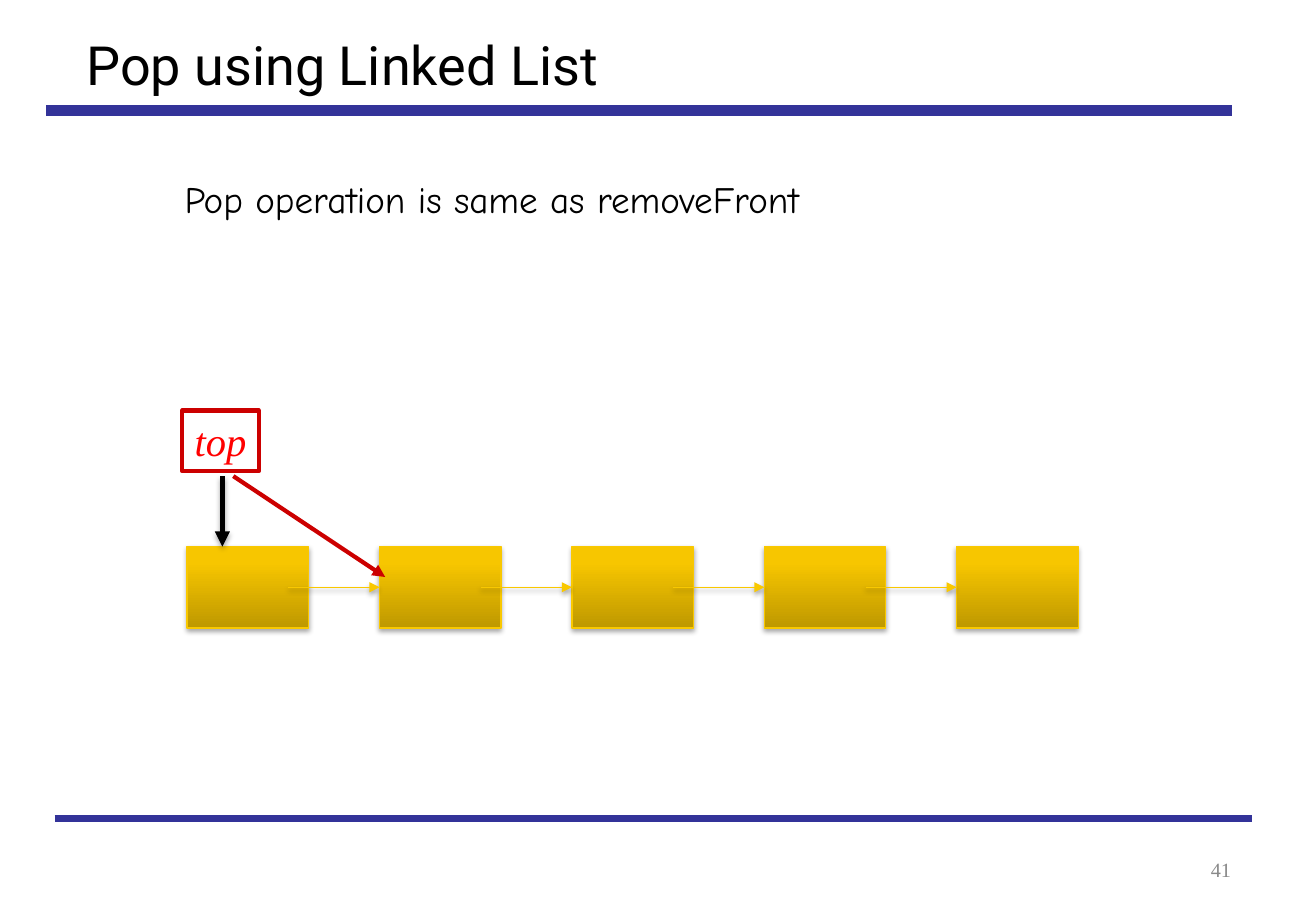
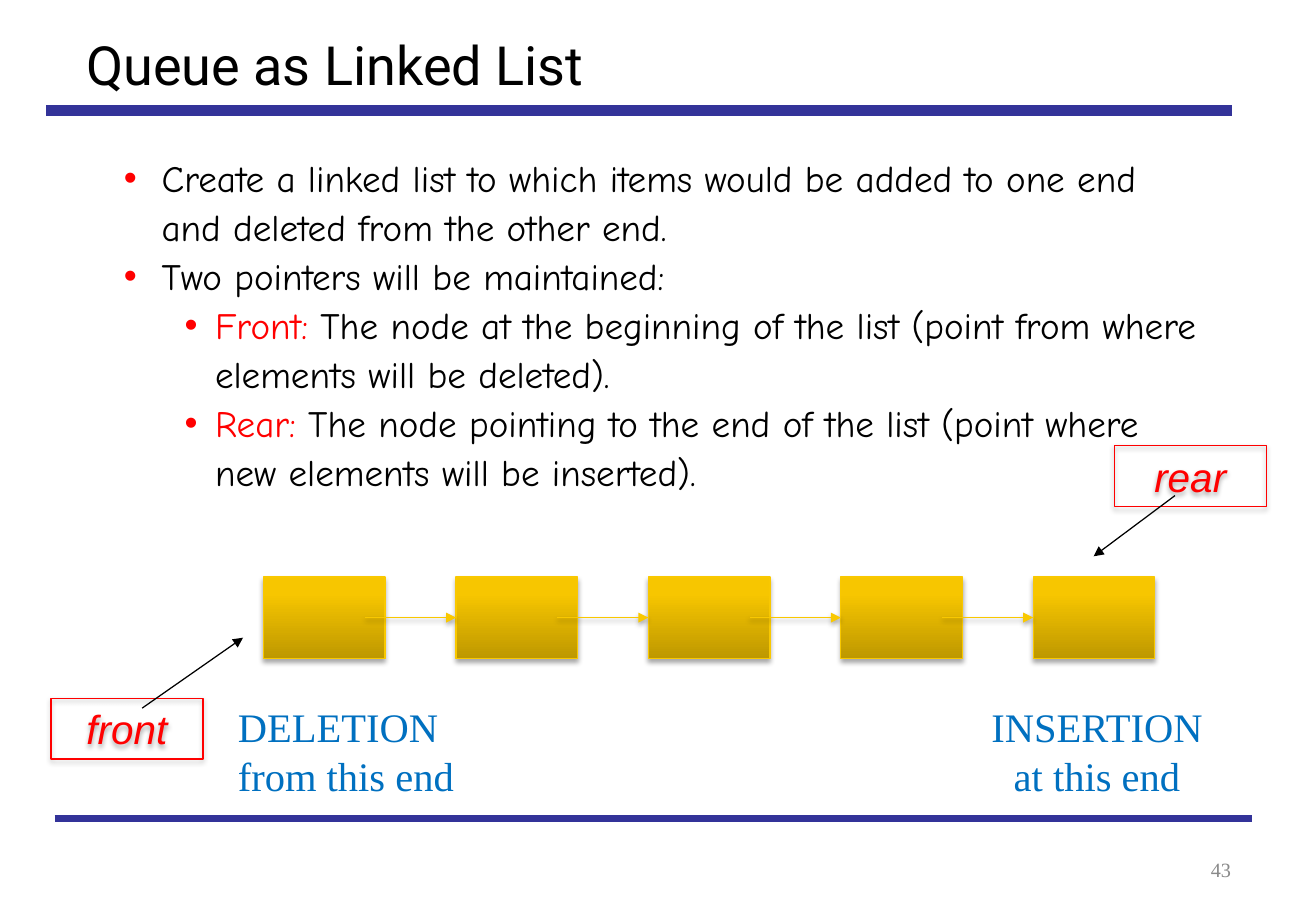
"""Build two slides on stacks and queues kept as linked lists."""
import copy

import lxml.etree
import pptx
import pptx.dml.color
import pptx.enum.shapes
import pptx.enum.text
import pptx.oxml.ns
import pptx.util

Inches = pptx.util.Inches
Pt = pptx.util.Pt
qn = pptx.oxml.ns.qn
ALIGN = pptx.enum.text.PP_ALIGN
ANCHOR = pptx.enum.text.MSO_ANCHOR

BAND, GOLD, RED, DARK_RED = "333399", "F9C800", "FF0000", "CC0000"
BLACK, BLUE, GREY = "000000", "0070C0", "898989"
NODE_GRADIENT = [(0, "BE9800"), (0.8, "F7C600"), (1, "F8C700")]
TITLE_FONT, BODY_FONT, SERIF, SANS = "Roboto", "Comic Neue", "Times New Roman", "Arial"
NODE_COUNT, NODE_WIDTH, NODE_HEIGHT = 5, 1, 0.67
NODE_STEP = 19 / 12
LINK_START = 5 / 6
BULLET_INDENTS = {1: (0.81, -0.31), 2: (1.25, -0.25)}

QUEUE_POINTS = [
    (1, "", "Create a linked list to which items would be added to one end "
            "and deleted from the other end."),
    (1, "", "Two pointers will be maintained:"),
    (2, "Front: ", "The node at the beginning of the list "
                   "(point from where elements will be deleted)."),
    (2, "Rear: ", "The node pointing to the end of the list "
                  "(point where new elements will be inserted)."),
]


def rgb(value):
    """Turn a hex string into a colour."""
    return pptx.dml.color.RGBColor.from_string(value)


def add_xml(parent, tag, **attributes):
    """Append a child element with the given attributes."""
    child = lxml.etree.SubElement(parent, qn(tag))
    for key, value in attributes.items():
        child.set(key, str(value))
    return child


def style_runs(paragraph, font, size, color, italic=None):
    """Give every run of a paragraph one look."""
    for run in paragraph.runs:
        run.font.name = font
        run.font.size = Pt(size)
        run.font.color.rgb = rgb(color)
        run.font.italic = italic


def place(shape, left, top, width, height):
    """Move and size a shape in inches."""
    shape.left, shape.top = Inches(left), Inches(top)
    shape.width, shape.height = Inches(width), Inches(height)


def set_line(shape, color, weight):
    """Set the colour and weight of an outline or connector."""
    shape.line.color.rgb = rgb(color)
    shape.line.width = Pt(weight)


def add_shadow(shape):
    """Put a soft downward shadow in the effect list."""
    effects = shape.element.spPr.find(qn("a:effectLst"))
    shadow = add_xml(effects, "a:outerShdw", blurRad=Pt(3.1), dist=Pt(1.8),
                     dir=5400000, rotWithShape=0)
    add_xml(add_xml(shadow, "a:srgbClr", val=BLACK), "a:alpha", val=35000)


def add_line(slide, start, end, color, weight, arrow=True, shadow=False):
    """Draw a straight line, by default with an arrowhead at its end."""
    line = slide.shapes.add_connector(
        pptx.enum.shapes.MSO_CONNECTOR.STRAIGHT,
        *(Inches(value) for value in (*start, *end)))
    set_line(line, color, weight)
    properties = line.element.spPr
    if arrow:
        add_xml(properties.find(qn("a:ln")), "a:tailEnd", type="triangle")
    add_xml(properties, "a:effectLst")
    if shadow:
        add_shadow(line)
    return line


def add_rectangle(slide, left, top, width, height, color, weight, shadow=True):
    """Draw an outlined, unfilled rectangle."""
    rectangle = slide.shapes.add_shape(
        pptx.enum.shapes.MSO_SHAPE.RECTANGLE,
        Inches(left), Inches(top), Inches(width), Inches(height))
    rectangle.fill.background()
    set_line(rectangle, color, weight)
    rectangle.shadow.inherit = False
    if shadow:
        add_shadow(rectangle)
    return rectangle


def add_pointer(slide, name, left, top, width, font, color, weight, shadow=True):
    """Draw the named box of a list pointer."""
    pointer = add_rectangle(slide, left, top, width, 0.5, color, weight, shadow)
    frame = pointer.text_frame
    frame.text = name
    frame.word_wrap = False
    frame.vertical_anchor = ANCHOR.TOP
    frame.paragraphs[0].alignment = ALIGN.CENTER
    style_runs(frame.paragraphs[0], font, 24, RED, italic=True)


def add_node(slide, left, top):
    """Draw one golden list node."""
    node = add_rectangle(slide, left, top, NODE_WIDTH, NODE_HEIGHT, GOLD, 0.75)
    node.fill.gradient()
    node.fill.gradient_angle = 90
    stops = node.element.spPr.find(".//" + qn("a:gsLst"))
    stops.append(copy.deepcopy(stops[-1]))
    for stop, (position, color) in zip(node.fill.gradient_stops, NODE_GRADIENT):
        stop.position = position
        stop.color.rgb = rgb(color)
    return node


def add_linked_list(slide, left, top):
    """Draw a row of nodes, each linked to the next."""
    lefts = [left + index * NODE_STEP for index in range(NODE_COUNT)]
    nodes = [add_node(slide, node_left, top) for node_left in lefts]
    middle = top + NODE_HEIGHT / 2
    for node_left, following_left, following in zip(lefts, lefts[1:], nodes[1:]):
        link = add_line(slide, (node_left + LINK_START, middle),
                        (following_left, middle), GOLD, 0.75, shadow=True)
        link.end_connect(following, 1)


def add_text(slide, lines, box, font, size, color, wrap=True, anchor=ANCHOR.TOP):
    """Add a text box with one paragraph for each line and return its paragraphs."""
    frame = slide.shapes.add_textbox(*(Inches(value) for value in box)).text_frame
    frame.text = "\n".join(lines)
    frame.word_wrap = wrap
    frame.vertical_anchor = anchor
    for paragraph in frame.paragraphs:
        style_runs(paragraph, font, size, color)
    return frame.paragraphs


def add_bullets(body, points):
    """Fill the body placeholder with bullets whose leading terms are red."""
    place(body, 0.42, 1.19, 9.53, 2.97)
    frame = body.text_frame
    frame.auto_size = pptx.enum.text.MSO_AUTO_SIZE.NONE
    frame.vertical_anchor = ANCHOR.TOP
    frame.text = "\n".join(term for _, term, _ in points)
    for paragraph, (level, _, text) in zip(frame.paragraphs, points):
        margin, indent = BULLET_INDENTS[level]
        properties = paragraph._p.get_or_add_pPr()
        properties.set("marL", str(Inches(margin)))
        properties.set("indent", str(Inches(indent)))
        add_xml(add_xml(properties, "a:buClr"), "a:srgbClr", val=RED)
        add_xml(properties, "a:buChar", char="•")
        paragraph.level = level
        paragraph.line_spacing = 1.1
        paragraph.space_before = Pt(0)
        style_runs(paragraph, BODY_FONT, 22, RED)
        description = paragraph.add_run()
        description.text = text
        description.font.name = BODY_FONT
        description.font.size = Pt(22)
        description.font.color.rgb = rgb(BLACK)


def add_master_bands(presentation, slide):
    """Draw the two bands and move them to the slide master."""
    for left, right, top, weight in [(0.38, 10.14, 0.91, 6), (0.45, 10.3, 6.74, 4.5)]:
        band = add_line(slide, (left, top), (right, top), BAND, weight, arrow=False)
        presentation.slide_master.shapes.element.append(band.element)


def add_slide(presentation, layout, title, number):
    """Add a slide with its title and page number."""
    slide = presentation.slides.add_slide(presentation.slide_layouts[layout])
    heading = slide.shapes.title
    place(heading, 0.61, 0.21, 9.53, 1.25)
    frame = heading.text_frame
    frame.text = title
    frame.auto_size = pptx.enum.text.MSO_AUTO_SIZE.NONE
    frame.vertical_anchor = ANCHOR.TOP
    frame.paragraphs[0].alignment = ALIGN.LEFT
    style_runs(frame.paragraphs[0], TITLE_FONT, 32, BLACK)
    page = add_text(slide, [number], (7.97, 6.81, 2.26, 0.5), SERIF, 12, GREY,
                    anchor=ANCHOR.BOTTOM)
    page[0].alignment = ALIGN.RIGHT
    return slide


def build_pop(presentation):
    """Show how pop moves the top pointer to the second node."""
    slide = add_slide(presentation, 5, "Pop using Linked List", "41")
    add_master_bands(presentation, slide)
    add_text(slide, ["Pop operation is same as removeFront"],
             (1.42, 1.4, 6.08, 0.47), BODY_FONT, 22, BLACK)
    add_linked_list(slide, 1.54, 4.5)
    add_pointer(slide, "top", 1.5, 3.38, 0.63, SERIF, DARK_RED, 2.5, shadow=False)
    add_line(slide, (1.83, 3.92), (1.83, 4.5), BLACK, 3, shadow=True)
    add_line(slide, (1.92, 3.92), (3.17, 4.75), DARK_RED, 2.5)


def build_queue(presentation):
    """Show a queue with its front and rear pointers."""
    slide = add_slide(presentation, 1, "Queue as Linked List", "43")
    add_bullets(slide.placeholders[1], QUEUE_POINTS)
    add_linked_list(slide, 2.17, 4.75)
    for name, left, top, start, end in [
            ("front", 0.42, 5.75, (1.17, 5.83), (2, 5.25)),
            ("rear", 9.17, 3.67, (9.67, 4.08), (9, 4.58))]:
        add_pointer(slide, name, left, top, 1.25, SANS, RED, 0.75)
        add_line(slide, start, end, BLACK, 0.75)
    add_text(slide, ["DELETION", "from this end"], (1.86, 5.73, 2, 0.91),
             SERIF, 24, BLUE, wrap=False)
    insertion = add_text(slide, ["INSERTION", "at this end"],
                         (8.06, 5.73, 1.96, 0.91), SERIF, 24, BLUE, wrap=False)
    insertion[1].alignment = ALIGN.CENTER


def main():
    """Build and save the presentation."""
    presentation = pptx.Presentation()
    presentation.slide_width = Inches(10.83)
    presentation.slide_height = Inches(7.5)
    build_pop(presentation)
    build_queue(presentation)
    presentation.save("out.pptx")


if __name__ == "__main__":
    main()
